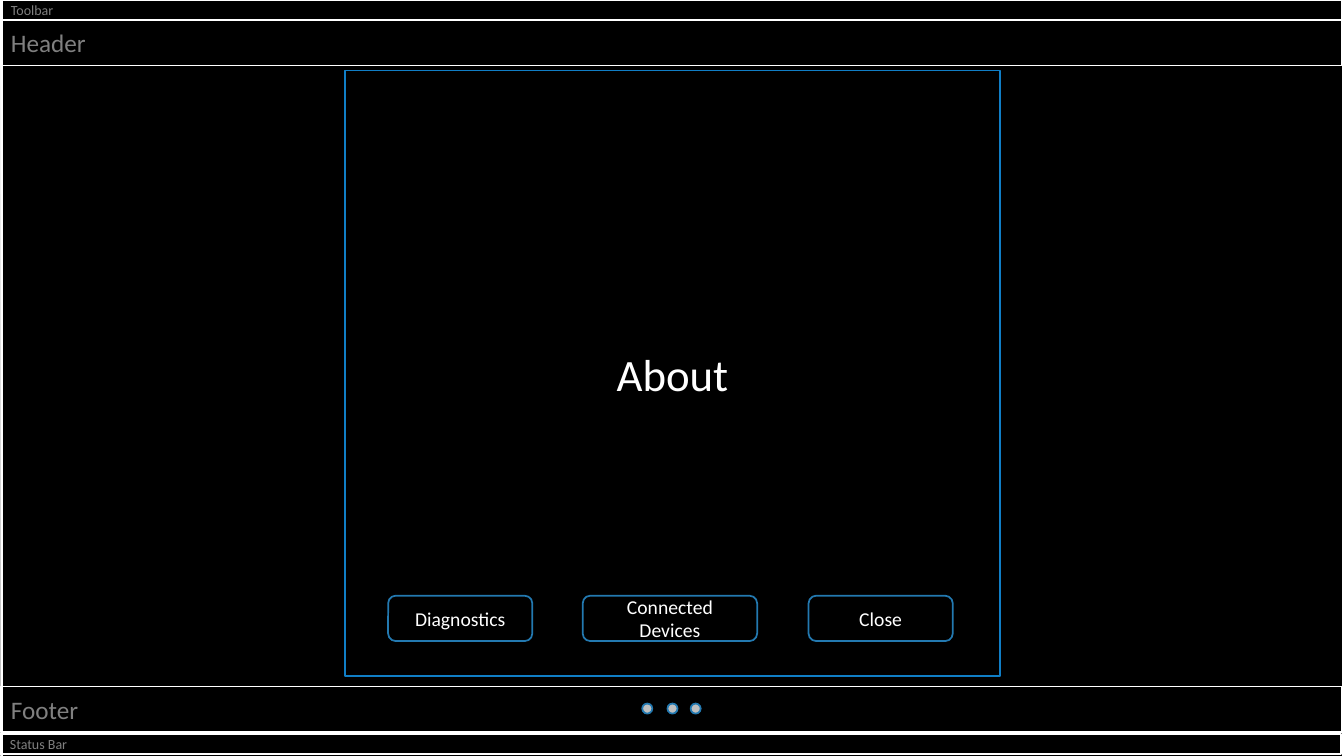
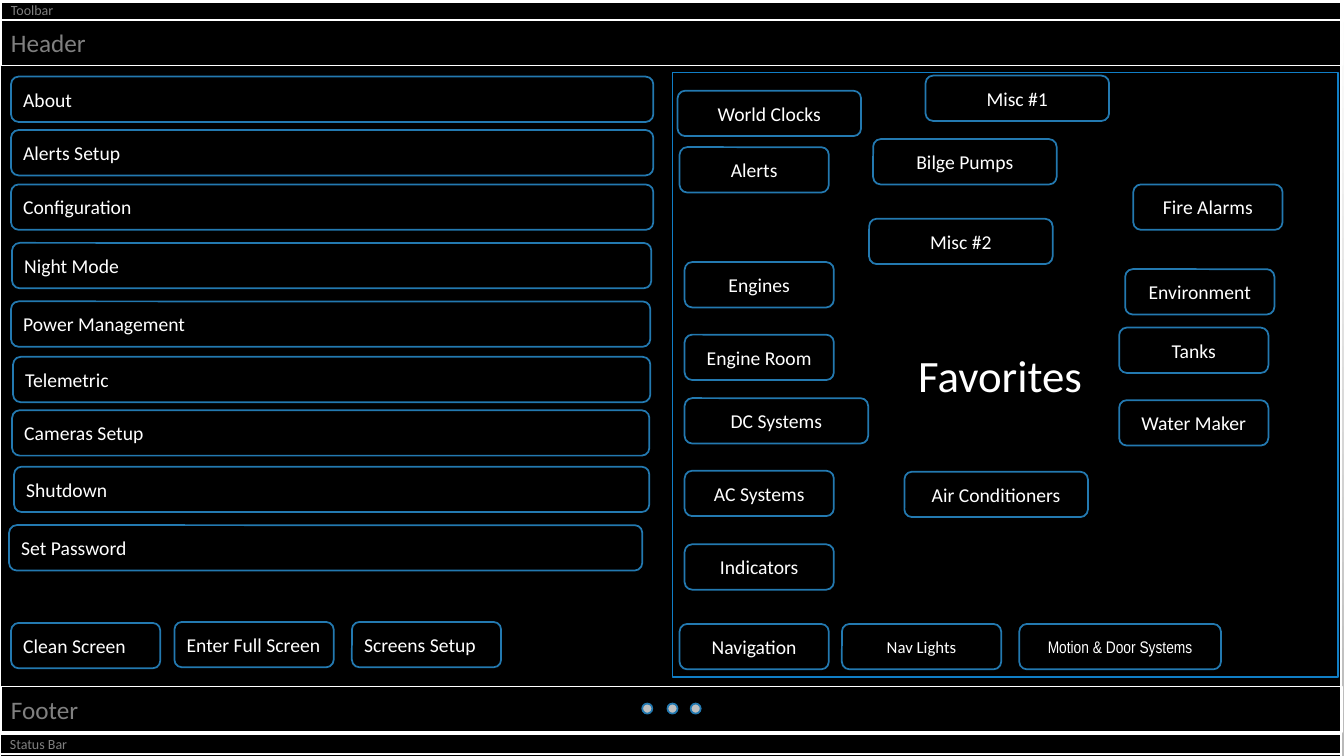
import pptx
import pptx.dml.color
import pptx.enum.shapes
import pptx.enum.text
import pptx.util

Inches = pptx.util.Inches
Pt = pptx.util.Pt
Shape = pptx.enum.shapes.MSO_SHAPE
Align = pptx.enum.text.PP_ALIGN

FONT = "Calibri"
BLACK = "000000"
WHITE = "FFFFFF"
SHADE = "B9B9B9"
LABEL_GREY = "808080"
DOT_GREY = "BFBFBF"
PANEL_BLUE = "107EC6"
BUTTON_BLUE = "2379B0"

ROW_HEIGHT = 0.45
SMALL, MEDIUM, LARGE = 1.48, 1.58, 1.82

BANDS = [
    ("Toolbar", 0.01, 0, 0.2, 10),
    ("Status Bar", 0, 7.28, 0.2, 10),
    ("Footer", 0.01, 6.81, ROW_HEIGHT, 18),
    ("Header", 0.01, 0.2, ROW_HEIGHT, 18),
]
DOT_LEFTS = [6.37, 6.62, 6.85]

ABOUT_BUTTONS = [
    ("Diagnostics", 3.85, 5.91, 1.43),
    ("Connected Devices", 5.78, 5.91, 1.73),
    ("Close", 8.02, 5.91, 1.43),
]
MENU_BUTTONS = [
    ("About", 0.11, 0.76, 6.37),
    ("Alerts Setup", 0.11, 1.29, 6.37),
    ("Configuration", 0.11, 1.83, 6.37),
    ("Night Mode", 0.12, 2.41, 6.34),
    ("Power Management", 0.11, 2.99, 6.34),
    ("Telemetric", 0.13, 3.54, 6.32),
    ("Cameras Setup", 0.12, 4.07, 6.32),
    ("Shutdown", 0.14, 4.63, 6.3),
    ("Set Password", 0.09, 5.21, 6.28),
    ("Clean Screen", 0.11, 6.18, SMALL),
    ("Enter Full Screen", 1.73, 6.17, MEDIUM),
    ("Screens Setup", 3.49, 6.17, SMALL),
]
FAVORITE_BUTTONS = [
    ("World Clocks", 6.72, 0.9, LARGE),
    ("Alerts", 6.74, 1.46, SMALL),
    ("Engines", 6.79, 2.6, SMALL),
    ("Engine Room", 6.79, 3.32, SMALL),
    ("DC Systems", 6.79, 3.95, LARGE),
    ("AC Systems", 6.79, 4.67, SMALL),
    ("Indicators", 6.79, 5.4, SMALL),
    ("Navigation", 6.74, 6.19, SMALL),
    ("Misc #1", 9.18, 0.75, LARGE),
    ("Bilge Pumps", 8.66, 1.38, LARGE),
    ("Misc #2", 8.62, 2.17, LARGE),
    ("Air Conditioners", 8.97, 4.68, LARGE),
    ("Fire Alarms", 11.24, 1.83, SMALL),
    ("Environment", 11.16, 2.67, SMALL),
    ("Tanks", 11.1, 3.25, SMALL),
    ("Water Maker", 11.1, 3.97, SMALL),
]


def color(value):
    return pptx.dml.color.RGBColor.from_string(value)


def paint(shape, fill, line):
    if fill:
        shape.fill.solid()
        shape.fill.fore_color.rgb = color(fill)
    else:
        shape.fill.background()
    shape.line.color.rgb = color(line)
    shape.line.width = Pt(1.25)


def write(shape, text, size, ink, align, font=FONT):
    frame = shape.text_frame
    frame.word_wrap = True
    frame.auto_size = pptx.enum.text.MSO_AUTO_SIZE.NONE
    frame.vertical_anchor = pptx.enum.text.MSO_ANCHOR.MIDDLE
    para = frame.paragraphs[0]
    para.text = text
    para.alignment = align
    para.font.name = font
    para.font.size = Pt(size)
    para.font.color.rgb = color(ink)


def add_outline(shapes, kind, left, top, width, height, fill, line):
    shape = shapes.add_shape(kind, Inches(left), Inches(top), Inches(width), Inches(height))
    shape.shadow.inherit = False
    paint(shape, fill, line)
    return shape


def add_buttons(shapes, buttons, align=Align.CENTER, size=14, font=FONT):
    for text, left, top, width in buttons:
        button = add_outline(shapes, Shape.ROUNDED_RECTANGLE, left, top, width,
                             ROW_HEIGHT, None, BUTTON_BLUE)
        write(button, text, size, WHITE, align, font)


def add_dots(page):
    dots = page.shapes.add_group_shape()
    for left in DOT_LEFTS:
        add_outline(dots.shapes, Shape.FLOWCHART_CONNECTOR, left, 6.98, 0.1, 0.1,
                    DOT_GREY, BUTTON_BLUE)


def add_title_panel(page, text, left, top, width, height):
    title = page.shapes.title
    title.left, title.top = Inches(left), Inches(top)
    title.width, title.height = Inches(width), Inches(height)
    paint(title, BLACK, PANEL_BLUE)
    write(title, text, 32, WHITE, Align.CENTER)
    title.element.getparent().append(title.element)


def add_page(deck, backdrop_left, backdrop_top):
    page = deck.slides.add_slide(deck.slide_layouts[5])
    fill = page.background.fill
    fill.gradient()
    fill.gradient_angle = 270
    for stop, value in zip(fill.gradient_stops, (WHITE, SHADE)):
        stop.color.rgb = color(value)
    add_outline(page.shapes, Shape.RECTANGLE, backdrop_left, backdrop_top, 13.3, 7.59,
                BLACK, WHITE)
    for text, left, top, height, size in BANDS:
        band = add_outline(page.shapes, Shape.RECTANGLE, left, top, 13.3, height, None, WHITE)
        write(band, text, size, LABEL_GREY, Align.LEFT)
    add_dots(page)
    return page


def add_about_page(deck):
    page = add_page(deck, 0.02, 0)
    add_title_panel(page, "About", 3.42, 0.7, 6.5, 6.01)
    add_buttons(page.shapes.add_group_shape().shapes, ABOUT_BUTTONS)


def add_favorites_page(deck):
    page = add_page(deck, 0, 0.02)
    add_title_panel(page, "Favorites ", 6.67, 0.72, 6.6, 6)
    add_buttons(page.shapes, MENU_BUTTONS, Align.LEFT)
    add_buttons(page.shapes, FAVORITE_BUTTONS)
    add_buttons(page.shapes, [("Nav Lights", 8.35, 6.19, MEDIUM)], size=12)
    add_buttons(page.shapes, [("Motion & Door Systems", 10.11, 6.19, 2)], size=12,
                font="Arial Narrow")


def main():
    deck = pptx.Presentation()
    deck.slide_width = Inches(13.33)
    deck.slide_height = Inches(7.5)
    add_about_page(deck)
    add_favorites_page(deck)
    deck.save("out.pptx")


if __name__ == "__main__":
    main()
